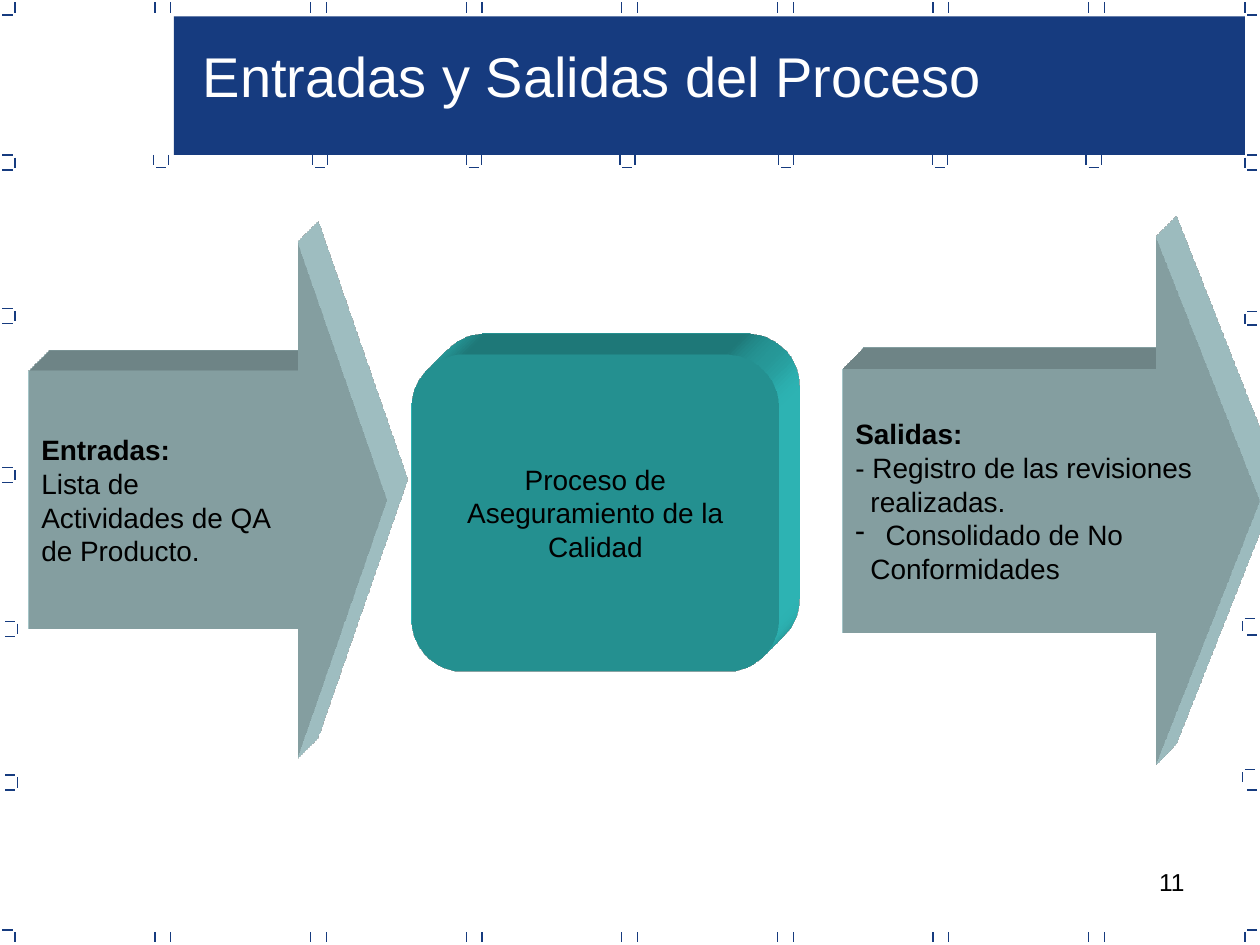
from dataclasses import dataclass

from lxml import etree
from pptx import Presentation
from pptx.dml.color import RGBColor
from pptx.enum.shapes import MSO_CONNECTOR, MSO_SHAPE
from pptx.enum.text import MSO_ANCHOR, MSO_AUTO_SIZE, PP_ALIGN
from pptx.oxml import parse_xml
from pptx.oxml.ns import nsdecls, qn
from pptx.util import Inches, Pt

ARROW, ROUNDED, RECTANGLE = MSO_SHAPE.RIGHT_ARROW, MSO_SHAPE.ROUNDED_RECTANGLE, MSO_SHAPE.RECTANGLE
LEFT, CENTER, RIGHT, JUSTIFY = PP_ALIGN.LEFT, PP_ALIGN.CENTER, PP_ALIGN.RIGHT, PP_ALIGN.JUSTIFY
STRAIGHT = MSO_CONNECTOR.STRAIGHT
TOP, MIDDLE = MSO_ANCHOR.TOP, MSO_ANCHOR.MIDDLE


@dataclass(frozen=True)
class Theme:
    """Colours, font and type sizes of the deck."""
    navy: str = "163B7F"
    white: str = "FFFFFF"
    black: str = "000000"
    pale_blue: str = "BBE0E3"
    teal: str = "33CCCC"
    font: str = "Arial"
    title_size: int = 32
    body_size: int = 16
    number_size: int = 14


@dataclass(frozen=True)
class Line:
    """One paragraph, with an optional bold heading, margin and bullet."""
    text: str
    heading: str = ""
    margin: float = 0
    bullet: str = ""


@dataclass(frozen=True)
class Block:
    """One solid block of the process diagram."""
    preset: int
    place: tuple[float, float, float, float]
    adjustments: tuple[float, ...]
    fill: str
    align: int
    wrap: bool
    lines: tuple[Line, ...]


THEME = Theme()
TICK, GAP, PAIR = 0.08, 0.02, 0.12
COLUMNS = [1.23 + 1.235 * index for index in range(7)]
CUP_LEFTS = (1.22, 2.48, 3.70, 4.92, 6.18, 7.40, 8.62)
LEFT_BRACKETS = ((0.12, 1.23), (0.12, 2.45), (0.12, 3.71), (0.14, 4.93), (0.14, 6.15))
RIGHT_BRACKETS = ((9.88, 1.23, 1.35), (9.88, 2.47, 2.58), (9.86, 3.67, 3.81),
                  (9.86, 4.91, 5.04), (9.86, 6.11, 6.27))

BLOCKS = (
    Block(ARROW, (0.23, 1.92, 2.84, 4.1), (0.5, 0.25), THEME.pale_blue, LEFT, False,
          (Line("Lista de", heading="Entradas:"), Line("Actividades de QA"),
           Line("de Producto."))),
    Block(ROUNDED, (3.27, 2.81, 2.91, 2.52), (0.167,), THEME.teal, CENTER, True,
          (Line("Proceso de Aseguramiento de la Calidad"),)),
    Block(ARROW, (6.69, 1.88, 3.31, 4.19), (0.5, 0.25), THEME.pale_blue, JUSTIFY, False,
          (Line("- Registro de las revisiones", heading="Salidas:"),
           Line("realizadas.", margin=0.12),
           Line("Consolidado de No", margin=0.24, bullet="-"),
           Line("Conformidades", margin=0.12))),
)


def style(paragraph, size: int, color: str, align: int) -> None:
    """Set the font and alignment of a paragraph."""
    paragraph.alignment = align
    paragraph.font.name = THEME.font
    paragraph.font.size = Pt(size)
    paragraph.font.color.rgb = RGBColor.from_string(color)


def add_tick(slide, x: float, y: float, across: bool) -> None:
    """Draw one short line running right or down from a point."""
    end_x, end_y = (x + TICK, y) if across else (x, y + TICK)
    tick = slide.shapes.add_connector(
        STRAIGHT, Inches(x), Inches(y), Inches(end_x), Inches(end_y))
    tick.line.color.rgb = RGBColor.from_string(THEME.navy)
    tick.line.width = Pt(0.75)
    etree.SubElement(tick.element.spPr, qn("a:effectLst"))


def add_frame_marks(slide) -> None:
    """Draw the tick marks around the page and below the banner."""
    for x in COLUMNS:
        for y in (0.02, 7.4):
            add_tick(slide, x, y, False)
            add_tick(slide, x + 0.125, y, False)
    for x in CUP_LEFTS:
        add_tick(slide, x, 1.23, False)
        add_tick(slide, x + PAIR, 1.23, False)
        add_tick(slide, x + GAP, 1.33, True)
    for upright, arm in ((0.12, 0.02), (9.88, 9.9)):
        for upright_top, arm_y in ((0.02, 0.12), (7.4, 7.38)):
            add_tick(slide, upright, upright_top, False)
            add_tick(slide, arm, arm_y, True)
    for x, y in LEFT_BRACKETS:
        add_tick(slide, x, y + GAP, False)
        add_tick(slide, x - GAP - TICK, y, True)
        add_tick(slide, x - GAP - TICK, y + PAIR, True)
    for x, upper, lower in RIGHT_BRACKETS:
        add_tick(slide, x, upper + GAP, False)
        add_tick(slide, x + GAP, upper, True)
        add_tick(slide, 9.9, lower, True)


def add_solid(slide, preset: int, place: tuple[float, ...], fill: str):
    """Add a filled shape with no outline or shadow."""
    shape = slide.shapes.add_shape(preset, *map(Inches, place))
    shape.shadow.inherit = False
    shape.fill.solid()
    shape.fill.fore_color.rgb = RGBColor.from_string(fill)
    shape.line.fill.background()
    return shape


def extrude(shape, color: str) -> None:
    """Give a shape depth towards the upper right."""
    properties = shape.element.spPr
    properties.append(parse_xml(
        f'<a:scene3d {nsdecls("a")}><a:camera prst="legacyObliqueTopRight"/>'
        '<a:lightRig rig="legacyFlat3" dir="b"/></a:scene3d>'))
    properties.append(parse_xml(
        f'<a:sp3d {nsdecls("a")} extrusionH="430200" prstMaterial="legacyMatte">'
        '<a:bevelT w="13500" h="13500" prst="angle"/>'
        '<a:bevelB w="13500" h="13500" prst="angle"/>'
        f'<a:extrusionClr><a:srgbClr val="{color}"/></a:extrusionClr></a:sp3d>'))


def fill_line(paragraph, line: Line, align: int) -> None:
    """Write one line of a block with its heading, margin and bullet."""
    style(paragraph, THEME.body_size, THEME.black, align)
    if line.heading:
        span = paragraph.add_run()
        span.text = line.heading
        span.font.bold = True
        paragraph.add_line_break()
    paragraph.add_run().text = line.text
    properties = paragraph._p.get_or_add_pPr()
    if line.margin:
        properties.set("marL", str(Inches(line.margin)))
    if line.bullet:
        properties.set("indent", str(-Inches(line.margin)))
        bullet = etree.Element(qn("a:buChar"), char=line.bullet)
        properties.insert(0, bullet)


def add_block(slide, block: Block) -> None:
    """Draw one block of the diagram with its text."""
    shape = add_solid(slide, block.preset, block.place, block.fill)
    for index, value in enumerate(block.adjustments):
        shape.adjustments[index] = value
    extrude(shape, block.fill)
    frame = shape.text_frame
    frame.word_wrap = block.wrap
    frame.vertical_anchor = MIDDLE
    for index, line in enumerate(block.lines):
        paragraph = frame.add_paragraph() if index else frame.paragraphs[0]
        fill_line(paragraph, line, block.align)


def add_title(slide, text: str) -> None:
    """Place the title over the banner."""
    title = slide.shapes.title
    title.left, title.top, title.width, title.height = map(Inches, (1.51, 0.28, 6.8, 0.63))
    title.element.getparent().append(title.element)
    frame = title.text_frame
    frame.text = text
    frame.auto_size = MSO_AUTO_SIZE.NONE
    frame.vertical_anchor = TOP
    style(frame.paragraphs[0], THEME.title_size, THEME.white, LEFT)


def add_page_number(slide, number: str) -> None:
    """Write the page number at the lower right."""
    box = slide.shapes.add_textbox(*map(Inches, (7.17, 6.83, 2.33, 0.52)))
    box.text_frame.word_wrap = True
    box.text_frame.text = number
    style(box.text_frame.paragraphs[0], THEME.number_size, THEME.black, RIGHT)


def main() -> None:
    """Build and save the deck."""
    deck = Presentation()
    deck.slide_width, deck.slide_height = Inches(10), Inches(7.5)
    slide = deck.slides.add_slide(deck.slide_layouts[5])
    add_page_number(slide, "11")
    add_frame_marks(slide)
    add_solid(slide, RECTANGLE, (1.38, 0.13, 8.5, 1.1), THEME.navy)
    add_title(slide, "Entradas y Salidas del Proceso")
    for block in BLOCKS:
        add_block(slide, block)
    deck.save("out.pptx")


main()
